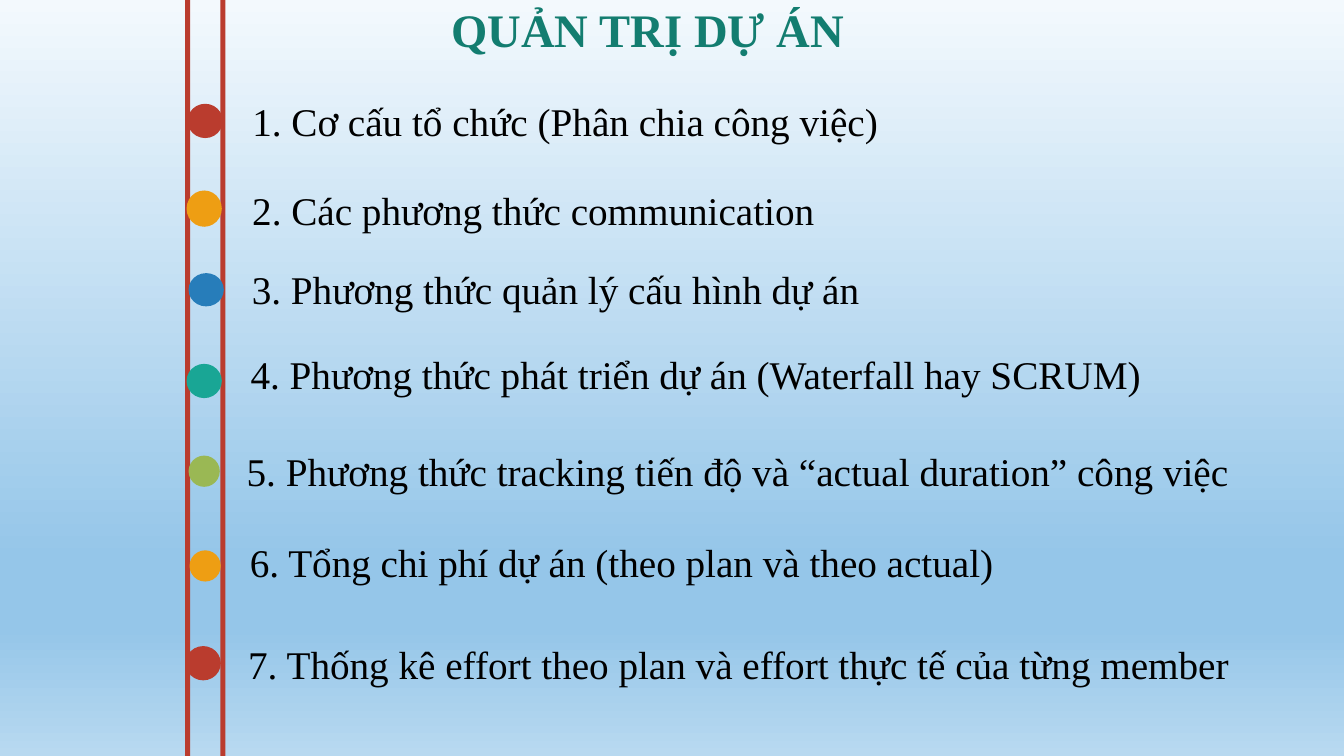
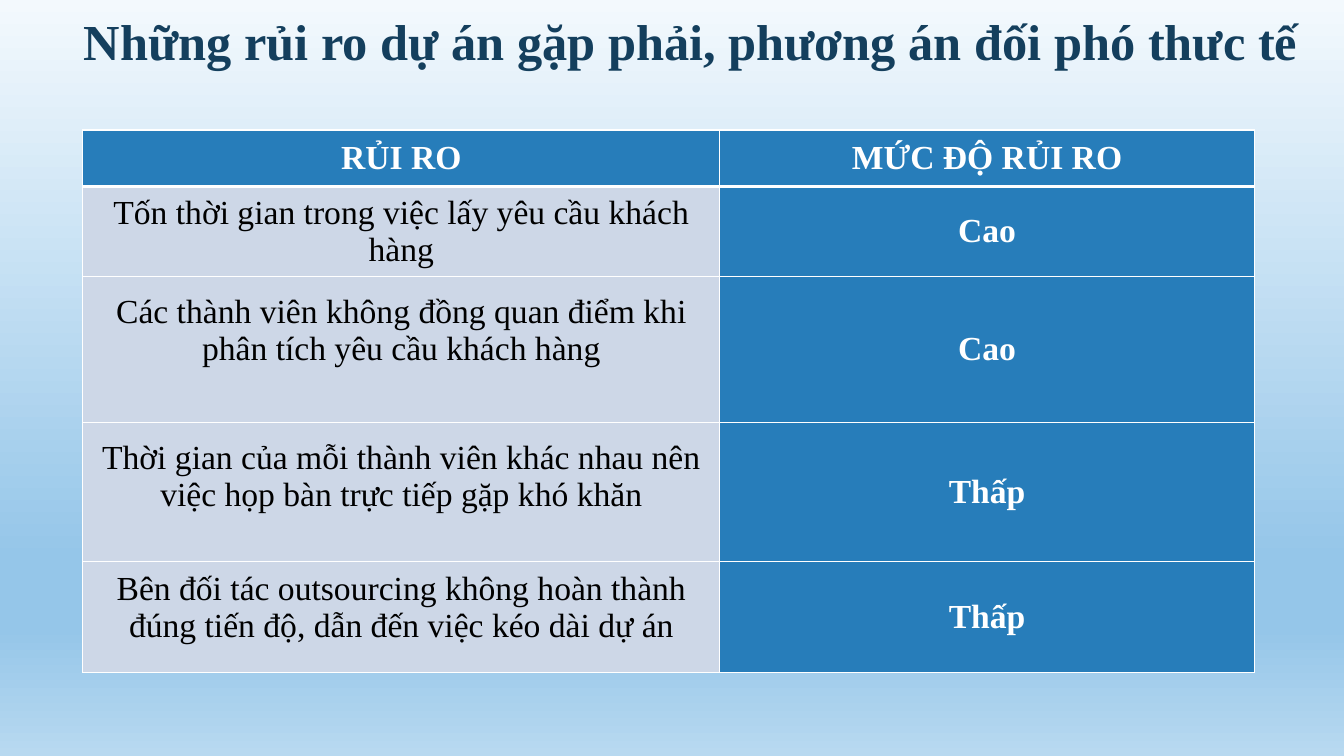
from lxml import etree
from pptx import Presentation
from pptx.dml.color import RGBColor
from pptx.enum.shapes import MSO_SHAPE
from pptx.enum.text import MSO_ANCHOR, MSO_AUTO_SIZE, PP_ALIGN
from pptx.oxml.ns import qn
from pptx.util import Inches, Pt

OVAL, RECTANGLE = MSO_SHAPE.OVAL, MSO_SHAPE.RECTANGLE
CENTER, MIDDLE = PP_ALIGN.CENTER, MSO_ANCHOR.MIDDLE
NO_FIT, GROW = MSO_AUTO_SIZE.NONE, MSO_AUTO_SIZE.SHAPE_TO_FIT_TEXT

# Shared look
SLIDE_WIDTH, SLIDE_HEIGHT = 13.33, 7.5
TITLE_ONLY_LAYOUT = 5
FONT = "Times New Roman"
BLACK = RGBColor(0x00, 0x00, 0x00)
WHITE = RGBColor(0xFF, 0xFF, 0xFF)
RED = RGBColor(0xBA, 0x3C, 0x2E)
ORANGE = RGBColor(0xEE, 0x9E, 0x13)
BLUE = RGBColor(0x27, 0x7D, 0xBA)
TEAL = RGBColor(0x19, 0xA6, 0x95)
GREEN = RGBColor(0x9A, 0xB8, 0x54)
DARK_TEAL = RGBColor(0x13, 0x7D, 0x70)
NAVY = RGBColor(0x14, 0x3F, 0x5D)
PALE_BLUE = RGBColor(0xCD, 0xD7, 0xE7)
SKY_STOPS = [
    (0, RGBColor(0xF3, 0xF9, 0xFD)),
    (74, RGBColor(0x95, 0xC6, 0xE9)),
    (83, RGBColor(0x95, 0xC6, 0xE9)),
    (100, RGBColor(0xB8, 0xD9, 0xF0)),
]

# Agenda: text, text box (left, top, width), dot (left, top, width, height), colour
LABEL_HEIGHT = 0.57
AGENDA = [
    ("1. Cơ cấu tổ chức (Phân chia công việc)",
     (2.38, 0.91, 6.45), (1.86, 1.03, 0.35, 0.34), RED),
    ("2. Các phương thức communication",
     (2.01, 1.8, 6.56), (1.85, 1.89, 0.35, 0.36), ORANGE),
    ("3. Phương thức quản lý cấu hình dự án",
     (2.34, 2.58, 6.34), (1.87, 2.71, 0.35, 0.33), BLUE),
    ("4. Phương thức phát triển dự án (Waterfall hay SCRUM)",
     (2.31, 3.42, 9.18), (1.85, 3.61, 0.35, 0.34), TEAL),
    ("5. Phương thức tracking tiến độ và “actual duration” công việc",
     (2.27, 4.39, 10.09), (1.87, 4.52, 0.31, 0.31), GREEN),
    ("6. Tổng chi phí dự án (theo plan và theo actual)",
     (2.17, 5.29, 7.99), (1.88, 5.46, 0.31, 0.31), ORANGE),
    ("7. Thống kê effort theo plan và effort thực tế của từng member",
     (2.18, 6.3, 10.29), (1.84, 6.41, 0.35, 0.34), RED),
]
RAIL_CENTERS = (1.86, 2.21)
RAIL_WIDTH = 0.05

# Risk table: row height, bottom margin of the risk cell, risk, level
RISK_COLUMNS = (6.32, 5.3)
RISK_ROWS = [
    (0.56, 0.05, "RỦI RO", "MỨC ĐỘ RỦI RO"),
    (0.89, 0.05, "Tốn thời gian trong việc lấy yêu cầu khách hàng", "Cao"),
    (1.45, 0.42, "Các thành viên không đồng quan điểm khi phân tích "
     "yêu cầu khách hàng", "Cao"),
    (1.38, 0.35, "Thời gian của mỗi thành viên khác nhau nên việc họp "
     "bàn trực tiếp gặp khó khăn", "Thấp"),
    (1.1, 0.23, "Bên đối tác outsourcing không hoàn thành đúng tiến độ, "
     "dẫn đến việc kéo dài dự án", "Thấp"),
]


def inches(*lengths):
    return [Inches(length) for length in lengths]


def write_text(frame, text, size=28, color=BLACK, bold=False, line_spacing=None):
    paragraph = frame.paragraphs[0]
    paragraph.alignment = CENTER
    if line_spacing:
        paragraph.line_spacing = line_spacing
    run = paragraph.add_run()
    run.text = text
    run.font.name = FONT
    run.font.size = Pt(size)
    run.font.bold = bold
    run.font.color.rgb = color


def set_sky_background(master):
    fill = master.background.fill
    fill.gradient()
    fill.gradient_angle = 270
    stop_list = next(master.element.cSld.iter(qn("a:gsLst")))
    for stop in list(stop_list):
        stop_list.remove(stop)
    for percent, color in SKY_STOPS:
        stop = etree.SubElement(stop_list, qn("a:gs"), pos=str(percent * 1000))
        etree.SubElement(stop, qn("a:srgbClr"), val=str(color))


def add_titled_slide(presentation, title, box, **text_format):
    slide = presentation.slides.add_slide(presentation.slide_layouts[TITLE_ONLY_LAYOUT])
    shape = slide.shapes.title
    shape.left, shape.top, shape.width, shape.height = inches(*box)
    frame = shape.text_frame
    frame.word_wrap = True
    frame.auto_size = NO_FIT
    frame.vertical_anchor = MIDDLE
    write_text(frame, title, bold=True, **text_format)
    return slide


def add_solid(slide, kind, box, color):
    shape = slide.shapes.add_shape(kind, *inches(*box))
    shape.shadow.inherit = False
    shape.fill.solid()
    shape.fill.fore_color.rgb = color
    shape.line.fill.background()


def add_label(slide, text, box):
    frame = slide.shapes.add_textbox(*inches(*box)).text_frame
    frame.word_wrap = True
    frame.auto_size = GROW
    frame.vertical_anchor = MIDDLE
    write_text(frame, text)


def set_borders(cell, **widths):
    properties = cell._tc.get_or_add_tcPr()
    for side in "LRTB":
        line = etree.SubElement(properties, qn("a:ln" + side),
                                w=str(Pt(widths.get(side, 1))))
        fill = etree.SubElement(line, qn("a:solidFill"))
        etree.SubElement(fill, qn("a:srgbClr"), val=str(WHITE))


def fill_cell(cell, text, background, **text_format):
    cell.fill.solid()
    cell.fill.fore_color.rgb = background
    cell.vertical_anchor = MIDDLE
    write_text(cell.text_frame, text, size=24, **text_format)


def add_risk_table(slide, left, top):
    height = sum(row[0] for row in RISK_ROWS)
    table = slide.shapes.add_table(
        len(RISK_ROWS), len(RISK_COLUMNS),
        *inches(left, top, sum(RISK_COLUMNS), height)).table
    for column, width in zip(table.columns, RISK_COLUMNS):
        column.width = Inches(width)
    for index, (height, bottom_margin, *texts) in enumerate(RISK_ROWS):
        table.rows[index].height = Inches(height)
        # A heavy rule separates the header from the first risk
        heavy = {0: {"B": 3}, 1: {"T": 3}}.get(index, {})
        for column, text in enumerate(texts):
            cell = table.cell(index, column)
            set_borders(cell, **heavy)
            if index > 0 and column == 0:
                cell.margin_bottom = Inches(bottom_margin)
                fill_cell(cell, text, PALE_BLUE)
            else:
                fill_cell(cell, text, BLUE, color=WHITE, bold=True)


def build_agenda(presentation):
    slide = add_titled_slide(presentation, "QUẢN TRỊ DỰ ÁN", (0, 0.05, 12.85, 0.58),
                             size=33.3, color=DARK_TEAL, line_spacing=0.8)
    for center in RAIL_CENTERS:
        add_solid(slide, RECTANGLE,
                  (center - RAIL_WIDTH / 2, 0, RAIL_WIDTH, SLIDE_HEIGHT), RED)
    for text, label_box, dot_box, color in AGENDA:
        add_solid(slide, OVAL, dot_box, color)
        add_label(slide, text, (*label_box, LABEL_HEIGHT))


def build_risks(presentation):
    slide = add_titled_slide(
        presentation, "Những rủi ro dự án gặp phải, phương án đối phó thưc tế",
        (0.37, 0.05, 12.96, 0.71), size=36, color=NAVY)
    add_risk_table(slide, 0.82, 1.29)


def main():
    presentation = Presentation()
    presentation.slide_width, presentation.slide_height = inches(SLIDE_WIDTH, SLIDE_HEIGHT)
    set_sky_background(presentation.slide_master)
    build_agenda(presentation)
    build_risks(presentation)
    presentation.save("out.pptx")


if __name__ == "__main__":
    main()
